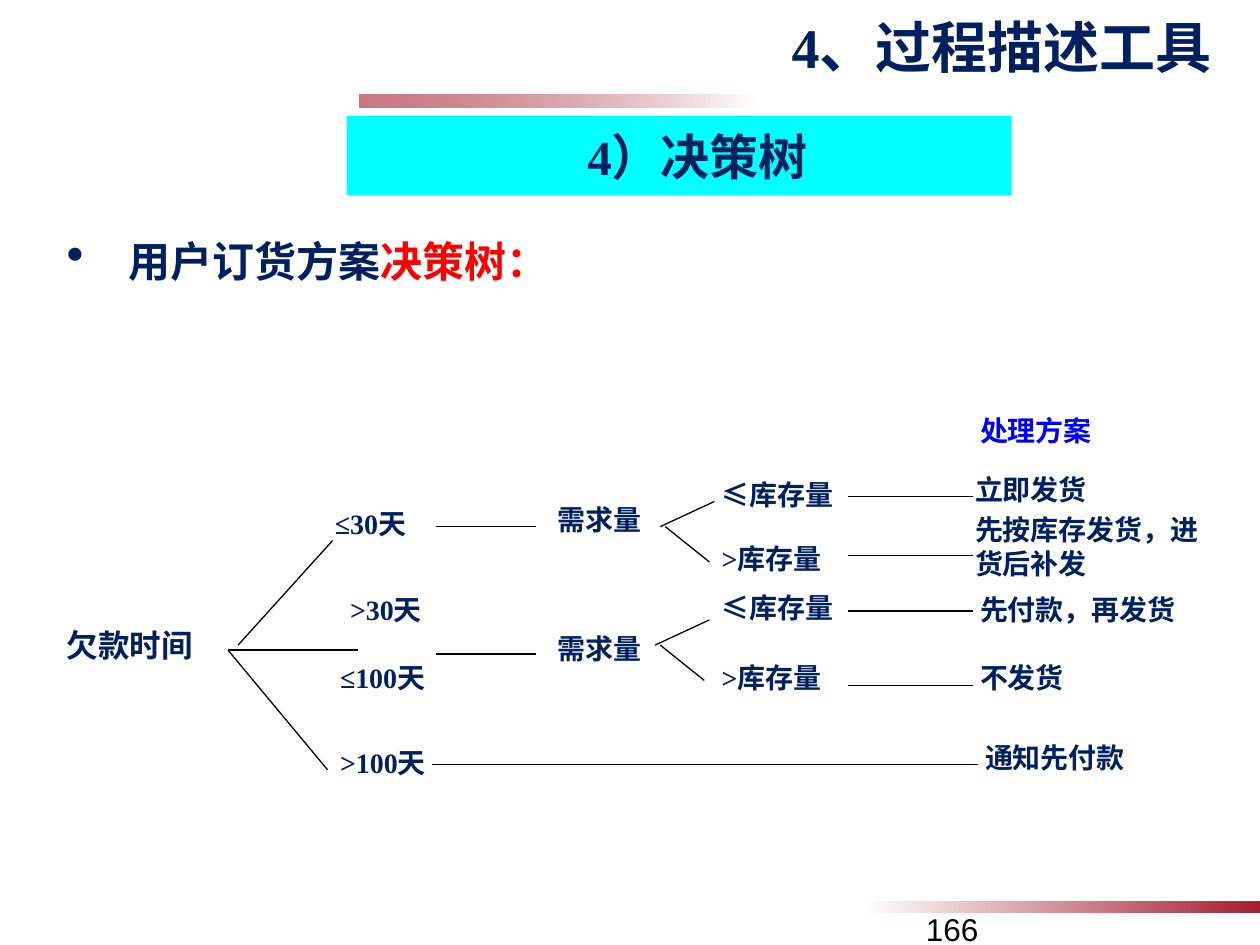
from collections import namedtuple
from dataclasses import dataclass

from lxml import etree
from pptx import Presentation
from pptx.dml.color import RGBColor
from pptx.enum.shapes import MSO_CONNECTOR, MSO_SHAPE
from pptx.enum.text import MSO_ANCHOR, MSO_AUTO_SIZE, PP_ALIGN
from pptx.oxml.ns import qn
from pptx.util import Inches, Pt

RECT = MSO_SHAPE.RECTANGLE
LINE = MSO_CONNECTOR.STRAIGHT
TOP = MSO_ANCHOR.TOP
NO_FIT = MSO_AUTO_SIZE.NONE
CENTER, RIGHT, JUSTIFY = PP_ALIGN.CENTER, PP_ALIGN.RIGHT, PP_ALIGN.JUSTIFY

Box = namedtuple("Box", "x y w h")


@dataclass(frozen=True)
class Theme:
    face: str = "Times New Roman"
    plain: str = "Arial"
    navy: RGBColor = RGBColor(0x00, 0x20, 0x60)
    red: RGBColor = RGBColor(0xFF, 0x00, 0x00)
    blue: RGBColor = RGBColor(0x00, 0x00, 0xFF)
    cyan: RGBColor = RGBColor(0x00, 0xFF, 0xFF)
    wine: RGBColor = RGBColor(0xA4, 0x1E, 0x31)
    white: RGBColor = RGBColor(0xFF, 0xFF, 0xFF)
    black: RGBColor = RGBColor(0x00, 0x00, 0x00)
    title: Pt = Pt(32)
    band: Pt = Pt(28)
    lead: Pt = Pt(24)
    root: Pt = Pt(18)
    label: Pt = Pt(16)
    rule: Pt = Pt(0.75)


THEME = Theme()


def inch(box):
    return [Inches(v) for v in box]


def style(para, size, color=THEME.navy, face=THEME.face, bold=True):
    font = para.font
    font.size, font.name, font.bold = size, face, bold
    font.color.rgb = color


def add_text(slide, box, text, size, **look):
    frame = slide.shapes.add_textbox(*inch(box)).text_frame
    frame.word_wrap = True
    para = frame.paragraphs[0]
    para.text = text
    style(para, size, **look)


def add_line(slide, box, x1, y1, x2, y2):
    ends = inch((box.x + x1, box.y + y1, box.x + x2, box.y + y2))
    line = slide.shapes.add_connector(LINE, *ends)
    line.line.color.rgb = THEME.black
    line.line.width = THEME.rule
    etree.SubElement(line._element.spPr, qn("a:effectLst"))


def add_rect(slide, box):
    shape = slide.shapes.add_shape(RECT, *inch(box))
    shape.shadow.inherit = False
    shape.line.fill.background()
    return shape


def add_bar(slide, box, turn=0, alpha=100):
    """Bar that fades from white to wine."""
    bar = add_rect(slide, box)
    bar.rotation = turn
    bar.fill.gradient()
    bar.fill.gradient_angle = 0
    for stop, color in zip(bar.fill.gradient_stops, (THEME.white, THEME.wine)):
        stop.color.rgb = color
    if alpha < 100:
        tint = list(bar._element.spPr.iter(qn("a:srgbClr")))[-1]
        etree.SubElement(tint, qn("a:alpha"), val=str(alpha * 1000))


def add_title(slide, box):
    title = slide.shapes.title
    title.left, title.top, title.width, title.height = inch(box)
    frame = title.text_frame
    frame.vertical_anchor, frame.auto_size = TOP, NO_FIT
    para = frame.paragraphs[0]
    para.text = "4、过程描述工具"
    para.alignment = RIGHT
    style(para, THEME.title)


def add_band(slide, box):
    band = add_rect(slide, box)
    band.fill.solid()
    band.fill.fore_color.rgb = THEME.cyan
    frame = band.text_frame
    frame.margin_left = Inches(0.39)
    para = frame.paragraphs[0]
    para.text = "4）决策树"
    para.alignment = CENTER
    style(para, THEME.band)


def add_lead(slide, box):
    frame = slide.shapes.add_textbox(*inch(box)).text_frame
    frame.word_wrap = True
    para = frame.paragraphs[0]
    # Hanging bullet
    props = para._p.get_or_add_pPr()
    props.set("marL", str(Inches(0.49)))
    props.set("indent", str(-Inches(0.49)))
    etree.SubElement(props, qn("a:buSzPct"), val="120000")
    etree.SubElement(props, qn("a:buChar"), char="•")
    para.alignment, para.line_spacing = JUSTIFY, 1.2
    style(para, THEME.lead)
    para.add_run().text = "用户订货方案"
    key = para.add_run()
    key.text = "决策树："
    key.font.color.rgb = THEME.red


def add_tree(slide, box):
    def label(x, y, w, text, h=0.37, size=THEME.label, **look):
        add_text(slide, Box(box.x + x, box.y + y, w, h), text, size, **look)

    def rule(*ends):
        add_line(slide, box, *ends)

    # Root and its three branches
    label(0, 1.69, 1.73, "欠款时间", h=0.4, size=THEME.root)
    rule(1.46, 1.89, 2.21, 1.06)
    for x, y in ((2.41, 1.93), (2.17, 2.88)):
        rule(1.38, 1.93, x, y)
    for x, y, text in ((2.13, 0.74, "≤30天"), (2.25, 1.42, ">30天"),
                       (2.17, 1.96, "≤100天"), (2.17, 2.64, ">100天")):
        label(x, y, 1.42, text)

    # Demand nodes, each forking in two
    for y, top, x, fork in ((0.95, 0.71, 4.81, 0.95), (1.96, 1.73, 4.77, 1.89)):
        rule(3.03, y, 3.82, y)
        label(3.9, top, 0.98, "需求量")
        rule(x, fork, x + 0.43, fork - 0.2)
        rule(x + 0.04, fork, x + 0.39, fork + 0.28)

    # Stock tests: label top, line height, outcome place and text
    for top, y, x, end, h, test, text in (
            (0.51, 0.71, 7.21, 0.47, 0.37, "≤库存量", "立即发货"),
            (1.02, 1.18, 7.21, 0.79, 0.64, ">库存量", "先按库存发货，进货后补发"),
            (1.41, 1.62, 7.25, 1.42, 0.37, "≤库存量", "先付款，再发货"),
            (1.96, 2.21, 7.25, 1.96, 0.37, ">库存量", "不发货")):
        label(5.2, top, 1.57, test)
        rule(6.3, y, 7.29, y)
        label(x, end, 1.97, text, h=h)

    # Outcome heading and the branch without a stock test
    label(7.25, 0, 1.97, "处理方案", color=THEME.blue)
    rule(3, 2.84, 7.33, 2.84)
    label(7.29, 2.6, 1.97, "通知先付款")


def main():
    deck = Presentation()
    deck.slide_width, deck.slide_height = Inches(10), Inches(7.5)
    slide = deck.slides.add_slide(deck.slide_layouts.get_by_name("Title Only"))
    add_bar(slide, Box(2.85, 0.75, 3.15, 0.1), turn=180, alpha=60)
    add_bar(slide, Box(6.85, 7.15, 3.15, 0.1))
    add_text(slide, Box(7.25, 7.17, 2.72, 0.52), "166", THEME.root,
             color=THEME.black, face=THEME.plain, bold=False)
    add_tree(slide, Box(0.43, 3.23, 9.26, 3.01))
    add_lead(slide, Box(0.43, 1.74, 9.21, 1.31))
    add_title(slide, Box(4.29, 0.05, 5.43, 0.64))
    add_band(slide, Box(2.75, 0.92, 5.28, 0.63))
    deck.save("out.pptx")


if __name__ == "__main__":
    main()
